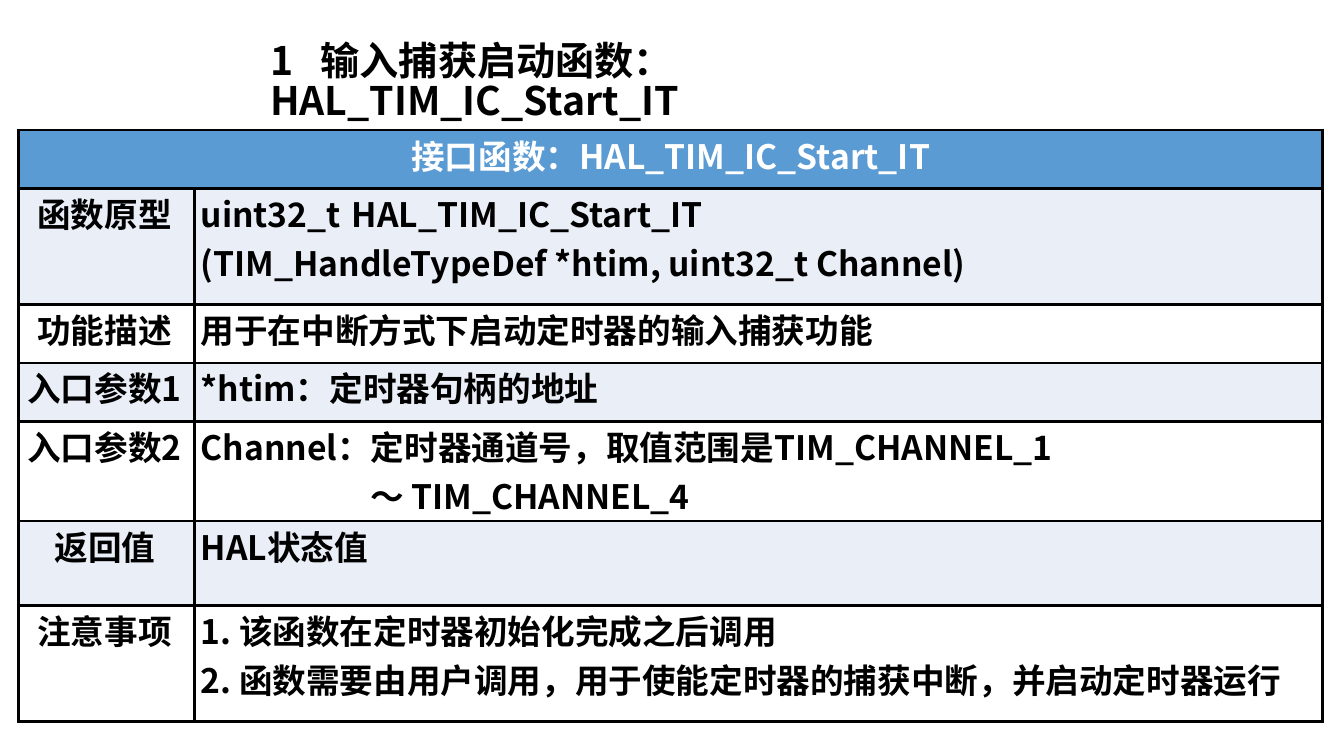
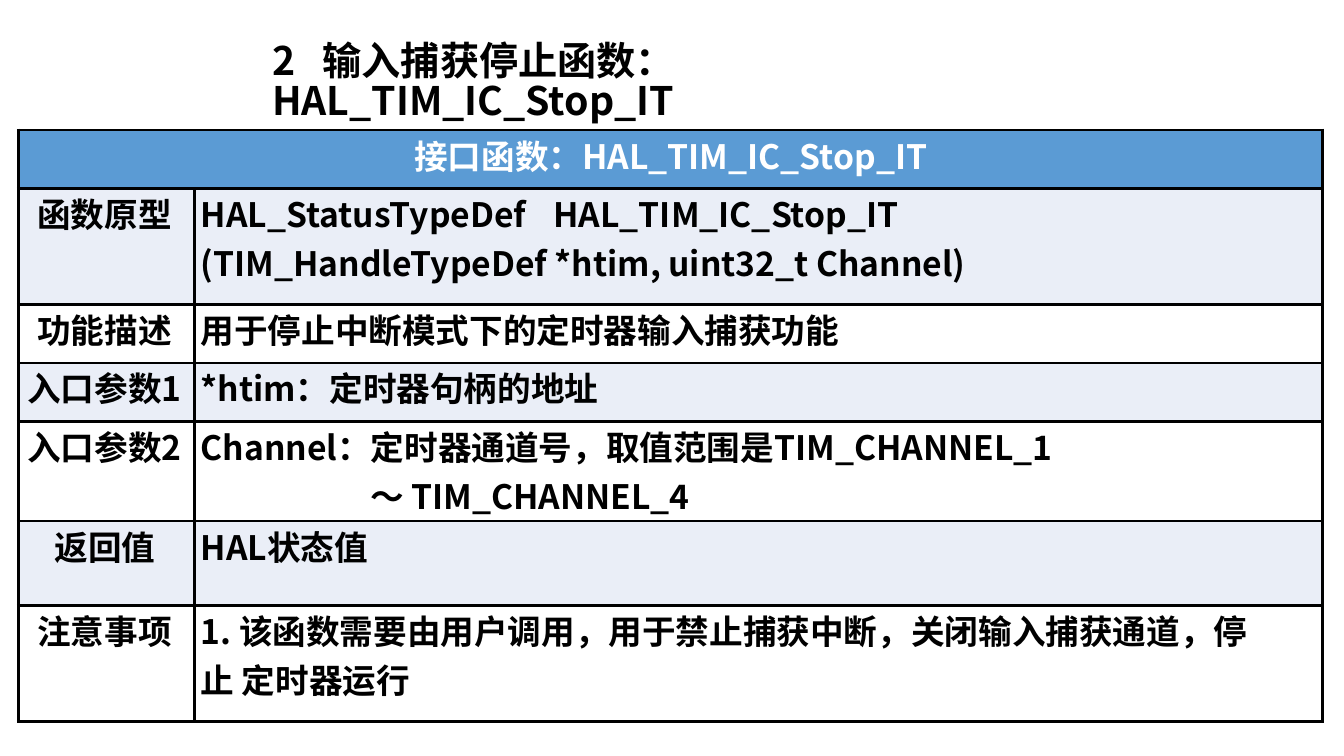
from lxml import etree
from pptx import Presentation
from pptx import util as u
from pptx.dml.color import RGBColor
from pptx.enum import text
from pptx.oxml import ns

# Theme: colours, type sizes and line weight
theme = dict(
    face="Noto Sans CJK SC", title=28, body=24, rule=2.25,
    ink="000000", light="FFFFFF", head="5B9BD4", band="EAEEF7",
)

# Grid, in inches
wide, high = 13.33, 7.5
left, top = 0.18, 1.29
cols = [1.75, 11.19]
rows = [0.58, 1.15, 0.58, 0.58, 0.99, 0.84, 1.15]
pad = 0.06

# Wording: \v breaks a line, \n starts a paragraph
args = "(TIM_HandleTypeDef *htim, uint32_t Channel)"
labels = [("函数原型", 0.19), ("功能描述", 0.19), ("入口参数1", 0.09),
          ("入口参数2", 0.09), ("返回值", 0.36), ("注意事项", 0.19)]
pages = [
    dict(num=1, verb="启动", name="HAL_TIM_IC_Start_IT", kind="uint32_t",
         x=2.67, head=3.9, tab=1.62,
         use="用于在中断方式下启动定时器的输入捕获功能",
         notes="1. 该函数在定时器初始化完成之后调用\n"
               "2. 函数需要由用户调用，用于使能定时器的捕获中断，并启动定时器运行"),
    dict(num=2, verb="停止", name="HAL_TIM_IC_Stop_IT", kind="HAL_StatusTypeDef",
         x=2.69, head=3.93, tab=3.55,
         use="用于停止中断模式下的定时器输入捕获功能",
         notes="1. 该函数需要由用户调用，用于禁止捕获中断，关闭输入捕获通道，停\v止 定时器运行"),
]


def write(frame, words, size, ink, indent, hang=0, tab=None):
    """Fill a text frame with bold, indented paragraphs."""
    for i, line in enumerate(words.split("\n")):
        para = frame.add_paragraph() if i else frame.paragraphs[0]
        para.text = line
        para.alignment = text.PP_ALIGN.LEFT
        props = para._p.get_or_add_pPr()
        props.set("marL", str(u.Inches(indent)))
        props.set("indent", str(u.Inches(hang)))
        if tab and "\t" in line:
            stops = etree.SubElement(props, ns.qn("a:tabLst"))
            etree.SubElement(stops, ns.qn("a:tab"), pos=str(u.Inches(tab)), algn="l")
        for run in para.runs:
            for key, val in dict(name=theme["face"], size=u.Pt(size), bold=True).items():
                setattr(run.font, key, val)
            run.font.color.rgb = RGBColor.from_string(ink)
            etree.SubElement(run._r.get_or_add_rPr(), ns.qn("a:ea"), typeface=theme["face"])


def dress(cell, fill):
    """Give a cell its rules, margins and fill."""
    props = cell._tc.get_or_add_tcPr()
    for side in "LRTB":
        line = etree.SubElement(props, ns.qn("a:ln" + side), w=str(u.Pt(theme["rule"])))
        solid = etree.SubElement(line, ns.qn("a:solidFill"))
        etree.SubElement(solid, ns.qn("a:srgbClr"), val=theme["ink"])
    for side in ("left", "right", "top", "bottom"):
        setattr(cell, "margin_" + side, 0)
    if fill:
        cell.fill.solid()
        cell.fill.fore_color.rgb = RGBColor.from_string(fill)
    else:
        cell.fill.background()


deck = Presentation()
deck.slide_width, deck.slide_height = u.Inches(wide), u.Inches(high)

for page in pages:
    slide = deck.slides.add_slide(deck.slide_layouts[6])

    # Title
    box = slide.shapes.add_textbox(*map(u.Inches, (page["x"], 0.62, 0.6 * wide, 0.42)))
    frame = box.text_frame
    style = dict(word_wrap=True, vertical_anchor=text.MSO_ANCHOR.MIDDLE, margin_left=0,
                 margin_right=0, margin_top=0, margin_bottom=0)
    for key, val in style.items():
        setattr(frame, key, val)
    write(frame, f"{page['num']}\t输入捕获{page['verb']}函数：\v{page['name']}",
          theme["title"], theme["ink"], 0.01, tab=0.49)
    frame.paragraphs[0].line_spacing = 0.84

    # Table frame
    table = slide.shapes.add_table(
        len(rows), len(cols), *map(u.Inches, (left, top, sum(cols), sum(rows)))).table
    for col, size in zip(table.columns, cols):
        col.width = u.Inches(size)
    for row, size in zip(table.rows, rows):
        row.height = u.Inches(size)
    for r in range(len(rows)):
        fill = theme["band"] if r % 2 else None
        for c in range(len(cols)):
            dress(table.cell(r, c), fill if r else theme["head"])

    # Header row
    head = table.cell(0, 0)
    head.merge(table.cell(0, 1))
    write(head.text_frame, "接口函数：" + page["name"], theme["body"], theme["light"], page["head"])

    # Label and detail rows
    facts = [
        f"{page['kind']}\t{page['name']}\n{args}",
        page["use"],
        "*htim：定时器句柄的地址",
        "Channel：定时器通道号，取值范围是TIM_CHANNEL_1\v～ TIM_CHANNEL_4",
        "HAL状态值",
        page["notes"],
    ]
    for r, ((label, inset), fact) in enumerate(zip(labels, facts), 1):
        write(table.cell(r, 0).text_frame, label, theme["body"], theme["ink"], inset)
        hang = 1.68 if fact.startswith("Channel") else 0
        write(table.cell(r, 1).text_frame, fact, theme["body"], theme["ink"],
              pad + hang, -hang, page["tab"])

deck.save("out.pptx")
